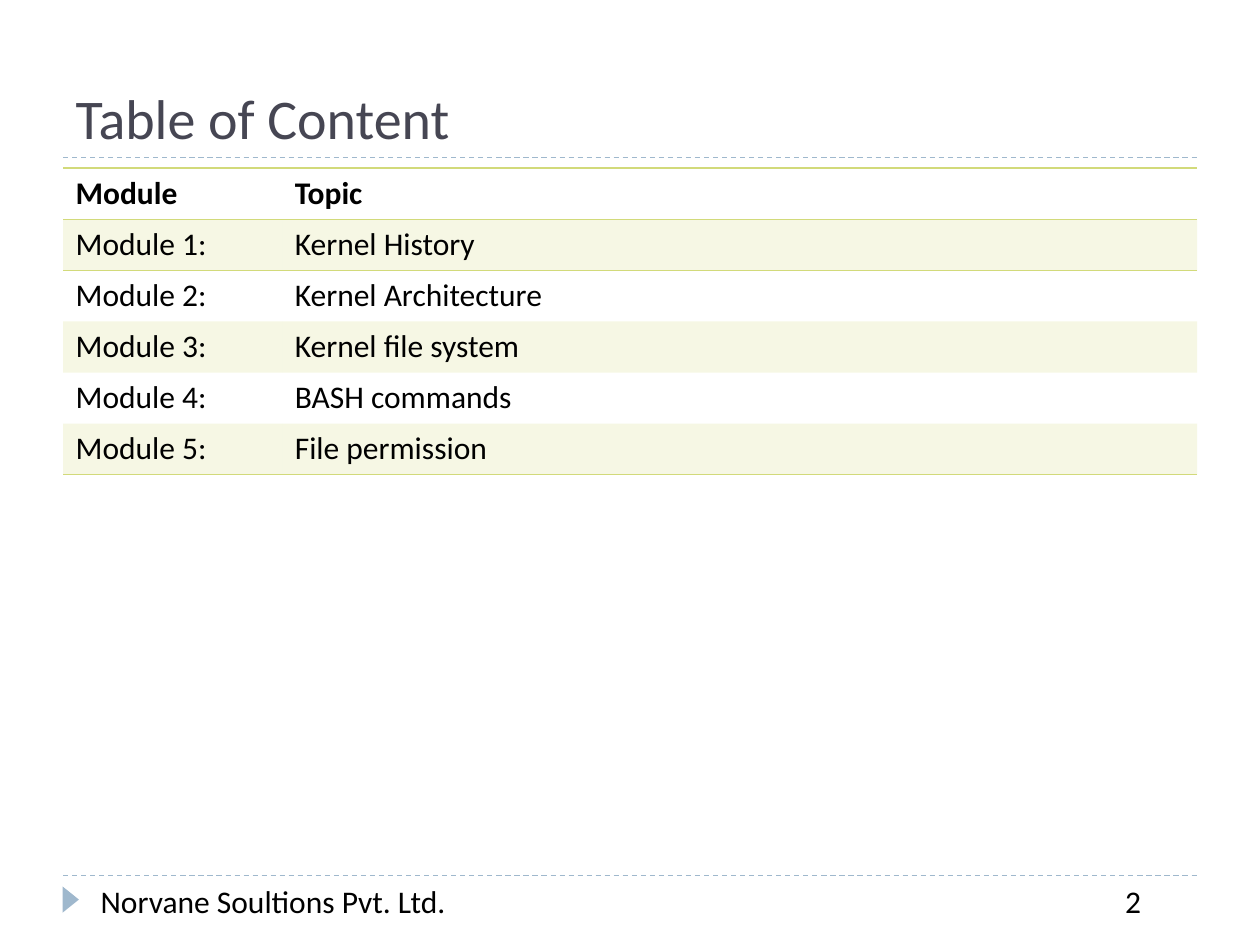
from lxml import etree
from pptx import Presentation
from pptx.dml.color import RGBColor
from pptx.enum import dml, shapes, text
from pptx.oxml import ns
from pptx.util import Cm, Pt

BLUE, LIME, BLACK, SLATE = "9FB8CD", "D2DA7A", "000000", "464653"
LEFT, WIDTH = 1.27, 22.86
ROWS = [
    ("Module", "Topic"),
    ("Module 1:", "Kernel History"),
    ("Module 2:", "Kernel Architecture"),
    ("Module 3:", "Kernel file system"),
    ("Module 4:", "BASH commands"),
    ("Module 5:", "File permission"),
]


def paint(target, color):
    target.rgb = RGBColor.from_string(color)


def box(left, top, width, height):
    return Cm(left), Cm(top), Cm(width), Cm(height)


def write(frame, words, size=18, color=BLACK, bold=False):
    frame.text = words
    para = frame.paragraphs[0]
    para.alignment = text.PP_ALIGN.LEFT
    para.font.name = "Calibri"
    para.font.size = Pt(size)
    para.font.bold = bold
    paint(para.font.color, color)


def add_title(slide, words):
    title = slide.shapes.title
    title.left, title.top, title.width, title.height = box(LEFT, 0.43, WIDTH, 2.74)
    title.text_frame.vertical_anchor = text.MSO_ANCHOR.BOTTOM
    write(title.text_frame, words, 32, SLATE)


def add_rule(slide, top):
    rule = slide.shapes.add_connector(
        shapes.MSO_CONNECTOR.STRAIGHT, Cm(LEFT), Cm(top), Cm(LEFT + WIDTH), Cm(top))
    paint(rule.line.color, BLUE)
    rule.line.width = Pt(0.75)
    rule.line.dash_style = dml.MSO_LINE.DASH
    etree.SubElement(rule._element.spPr, ns.qn("a:effectLst"))


def add_marker(slide):
    mark = slide.shapes.add_shape(
        shapes.MSO_SHAPE.ISOSCELES_TRIANGLE, *box(1.16, 17.97, 0.53, 0.33))
    mark.rotation = 90
    mark.shadow.inherit = False
    mark.fill.solid()
    paint(mark.fill.fore_color, BLUE)
    mark.line.fill.background()


def add_label(slide, left, width, words):
    label = slide.shapes.add_textbox(*box(left, 17.65, width, 1.02))
    label.text_frame.word_wrap = True
    write(label.text_frame, words)


def set_fill(cell, shaded):
    if not shaded:
        cell.fill.background()
        return
    cell.fill.solid()
    paint(cell.fill.fore_color, LIME)
    tint = cell._tc.tcPr.find(".//" + ns.qn("a:srgbClr"))
    etree.SubElement(tint, ns.qn("a:alpha"), val="20000")


def set_edges(cell, sides):
    for spot, side in enumerate(sides):
        edge = etree.Element(ns.qn("a:ln" + side), w=str(Pt(1)))
        fill = etree.SubElement(edge, ns.qn("a:solidFill"))
        etree.SubElement(fill, ns.qn("a:srgbClr"), val=LIME)
        cell._tc.tcPr.insert(spot, edge)


def add_grid(slide):
    last = len(ROWS) - 1
    frame = slide.shapes.add_table(len(ROWS), 2, *box(LEFT, 3.39, WIDTH, 6.18))
    grid = frame.table
    style = grid._tbl.tblPr.find(ns.qn("a:tableStyleId"))
    style.text = "{2D5ABB26-0587-4C30-8999-92F81FD0307C}"
    for column, width in zip(grid.columns, (4.42, 18.44)):
        column.width = Cm(width)
    for r, row in enumerate(ROWS):
        grid.rows[r].height = Cm(1.03)
        for c, words in enumerate(row):
            cell = grid.cell(r, c)
            write(cell.text_frame, words, bold=r == 0)
            set_fill(cell, r % 2 == 1)
            set_edges(cell, {0: "TB", 1: "T", last: "B"}.get(r, ""))


def main():
    deck = Presentation()
    deck.slide_width, deck.slide_height = Cm(25.4), Cm(19.05)
    slide = deck.slides.add_slide(deck.slide_layouts[5])
    for top in (17.65, 3.17):
        add_rule(slide, top)
    add_marker(slide)
    add_title(slide, "Table of Content")
    add_grid(slide)
    add_label(slide, 1.78, 9.65, "Norvane Soultions Pvt. Ltd.")
    add_label(slide, 22.43, 1.7, "2")
    deck.save("out.pptx")


main()
